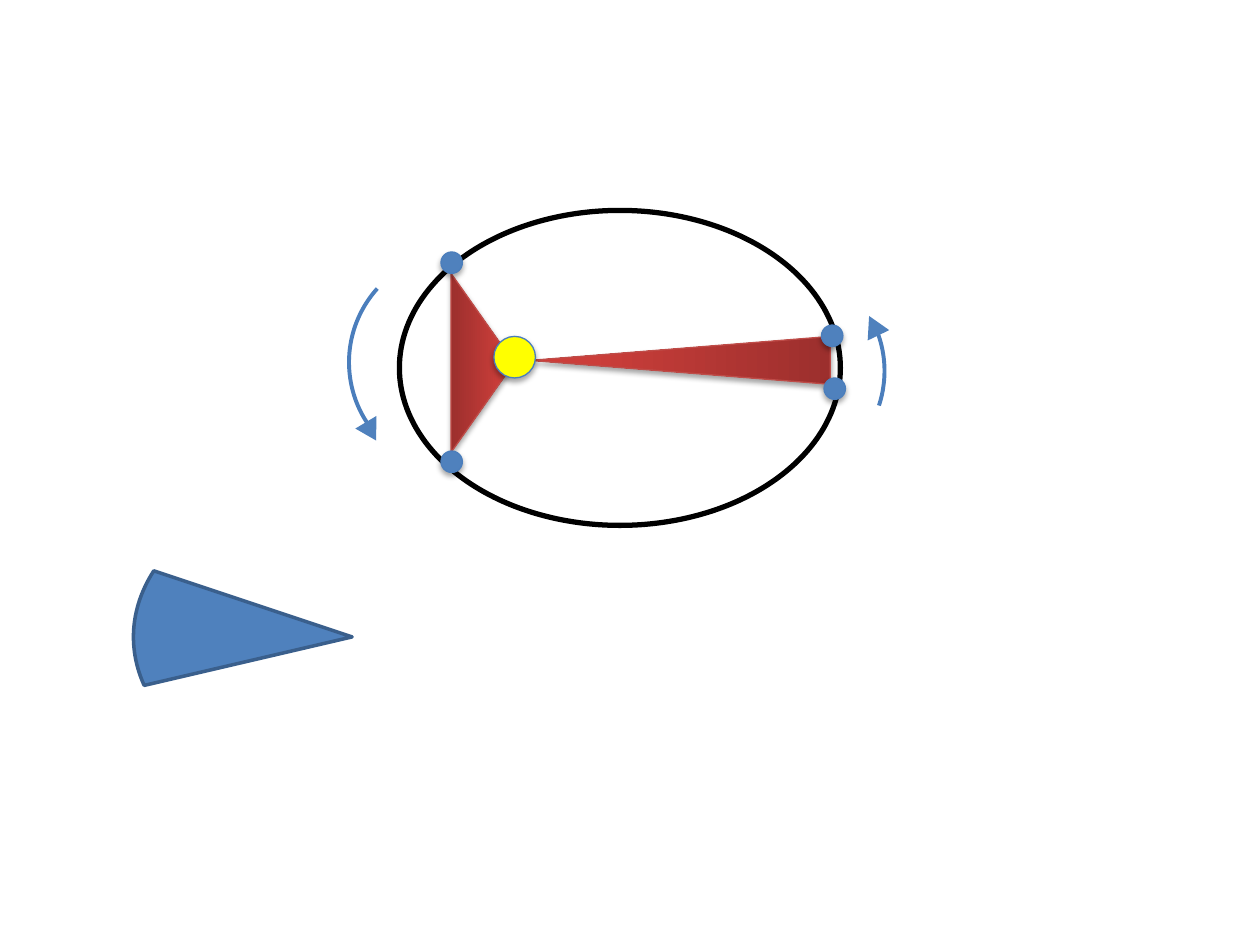
from copy import deepcopy

from lxml.etree import SubElement
from pptx import Presentation
from pptx.dml.color import RGBColor
from pptx.enum.shapes import MSO_SHAPE
from pptx.oxml.ns import qn
from pptx.util import Inches, Pt

THEME = {
    "planet": "4F81BD",
    "sun": "FFFF00",
    "outline": "4B7EBC",
    "orbit": "000000",
    "swept_line": "BF4C48",
    "swept_stops": [(0, "9C2F2D"), (0.8, "CB3E3A"), (1, "CE3B37")],
    "sector_line": "3A5F8C",
    "thin": 0.75,
    "sector_width": 2,
    "arrow_width": 2.25,
    "orbit_width": 3,
}

# Boxes are left, top, width, height in inches; angles are clockwise degrees.
SWEPT_AREAS = [((5.21, 1.67, 0.38, 2.38), 270), ((3.12, 2.63, 1.42, 0.5), 90)]
ORBIT = (3.17, 1.67, 3.5, 2.5)
SUN = (3.92, 2.67, 0.33, 0.33)
PLANET_SIZE = 0.17
PLANETS = [(3.5, 2), (3.5, 3.58), (6.52, 2.58), (6.54, 3)]
ARC_SIZE = 1.75
MOTION_ARCS = [  # left, top, rotation, start and end angle
    (2.77, 2, 231.5, 274.07, 350.46),
    (5.27, 2.07, 36.9, 302.72, 341.33),
]
ARROWHEAD_SIZE = (0.19, 0.17)
ARROWHEADS = [(2.85, 3.29, 29.9), (6.84, 2.5, 334.3)]
SECTOR = (1.06, 3.81, 3.47, 2.49)
SECTOR_ANGLES = (166.87, 198.43)


def color(name):
    return RGBColor.from_string(THEME.get(name, name))


def add_shape(slide, kind, box, fill=None, line=None, width=THEME["thin"],
              rotation=0, angles=()):
    shape = slide.shapes.add_shape(kind, *map(Inches, box))
    shape.rotation = rotation
    shape.shadow.inherit = False
    for index, angle in enumerate(angles):
        shape.adjustments[index] = angle * 0.6  # 60000ths of a degree / 100000
    if fill:
        shape.fill.solid()
        shape.fill.fore_color.rgb = color(fill)
    else:
        shape.fill.background()
    if line:
        shape.line.color.rgb = color(line)
        shape.line.width = Pt(width)
    else:
        shape.line.fill.background()
    return shape


def add_shadow(shape):
    effects = shape._element.spPr.find(qn("a:effectLst"))
    shadow = SubElement(effects, qn("a:outerShdw"), blurRad=str(Pt(3.1)),
                        dist=str(Pt(1.8)), dir="5400000", rotWithShape="0")
    black = SubElement(shadow, qn("a:srgbClr"), val="000000")
    SubElement(black, qn("a:alpha"), val="35000")


def shade_swept_area(shape):
    shape.fill.gradient()
    shape.fill.gradient_angle = 90
    stop_list = shape._element.spPr.find(qn("a:gradFill")).find(qn("a:gsLst"))
    stop_list.append(deepcopy(stop_list[-1]))
    for element, (position, value) in zip(stop_list, THEME["swept_stops"]):
        element.set("pos", str(round(position * 100000)))
    for stop, (position, value) in zip(shape.fill.gradient_stops, THEME["swept_stops"]):
        stop.color.rgb = color(value)


def main():
    presentation = Presentation()
    presentation.slide_width = Inches(10)
    presentation.slide_height = Inches(7.5)
    slide = presentation.slides.add_slide(presentation.slide_layouts[6])

    for box, rotation in SWEPT_AREAS:
        area = add_shape(slide, MSO_SHAPE.FLOWCHART_EXTRACT, box,
                         line="swept_line", rotation=rotation)
        shade_swept_area(area)
        add_shadow(area)

    add_shape(slide, MSO_SHAPE.OVAL, ORBIT, line="orbit", width=THEME["orbit_width"])

    bodies = [(SUN, "sun")]
    bodies += [((left, top, PLANET_SIZE, PLANET_SIZE), "planet") for left, top in PLANETS]
    for box, fill in bodies:
        add_shadow(add_shape(slide, MSO_SHAPE.OVAL, box, fill, "outline"))

    for left, top, rotation, start, end in MOTION_ARCS:
        add_shape(slide, MSO_SHAPE.ARC, (left, top, ARC_SIZE, ARC_SIZE), line="outline",
                  width=THEME["arrow_width"], rotation=rotation, angles=(start, end))
    for left, top, rotation in ARROWHEADS:
        add_shape(slide, MSO_SHAPE.ISOSCELES_TRIANGLE, (left, top, *ARROWHEAD_SIZE),
                  "planet", rotation=rotation)

    add_shape(slide, MSO_SHAPE.PIE, SECTOR, "planet", "sector_line",
              THEME["sector_width"], angles=SECTOR_ANGLES)
    presentation.save("out.pptx")


if __name__ == "__main__":
    main()
